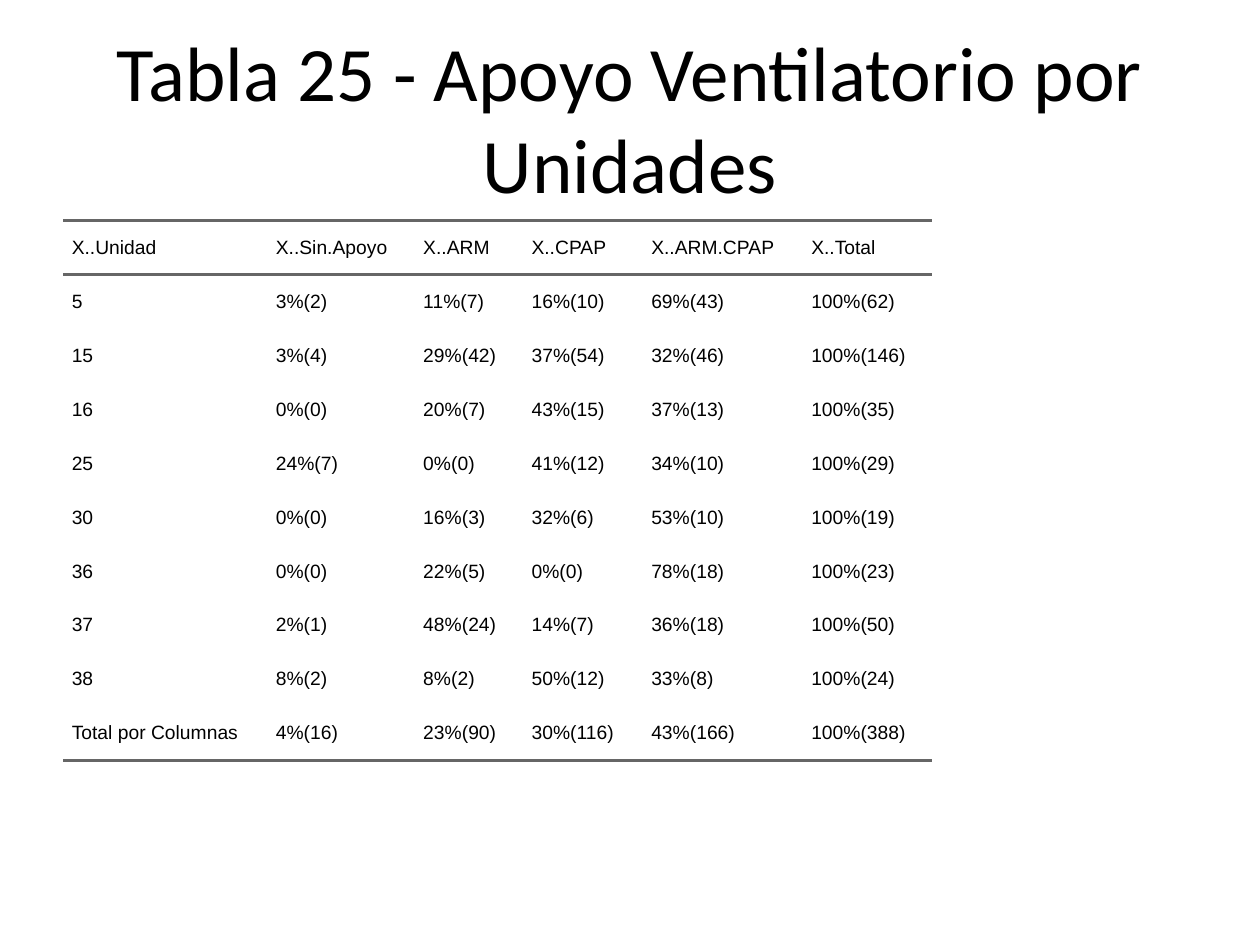
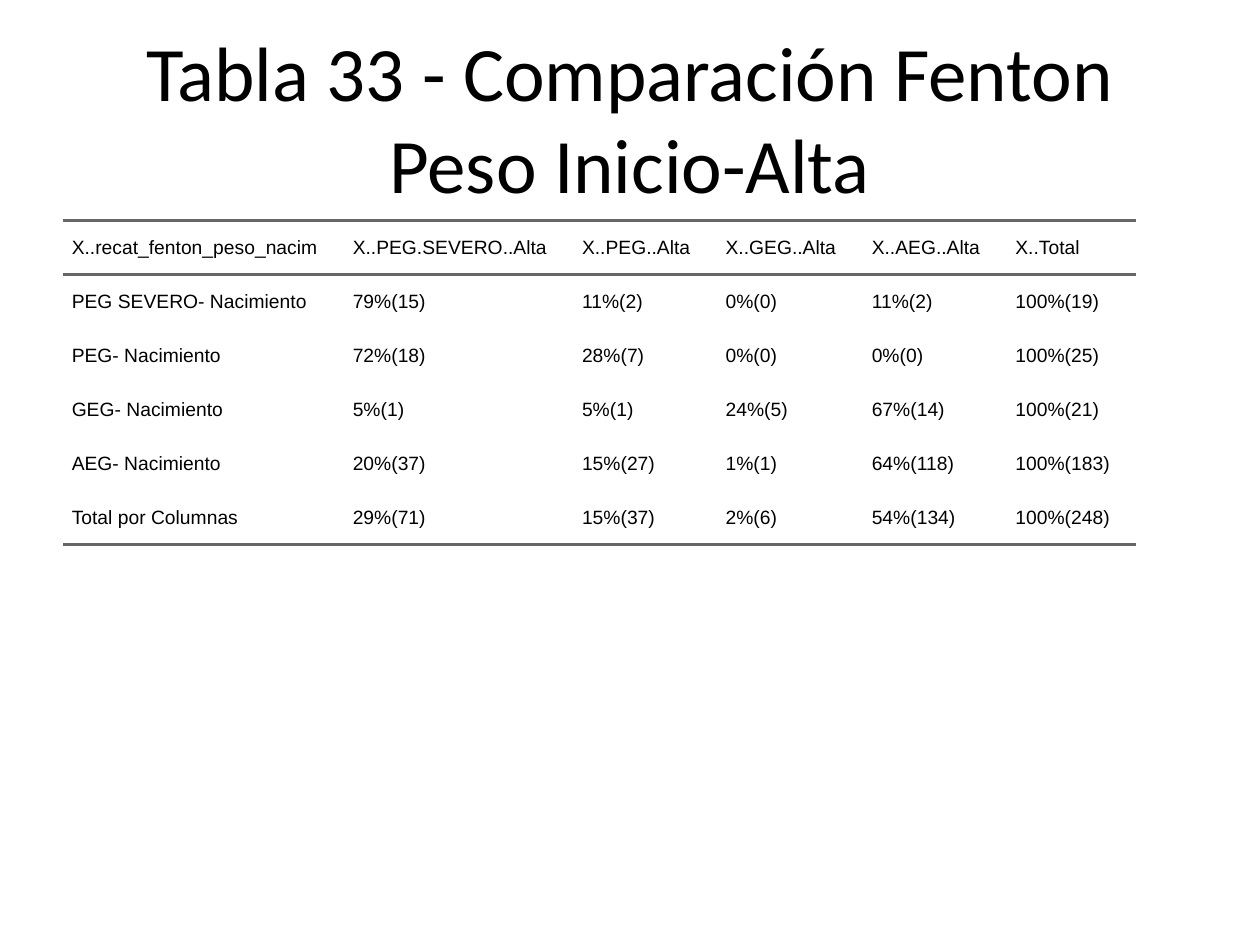
from lxml.etree import SubElement
from pptx import Presentation
from pptx.dml.color import RGBColor as RGB
from pptx.enum.text import MSO_ANCHOR as ANCHOR, PP_ALIGN as ALIGN
from pptx.oxml.ns import qn
from pptx.util import Inches, Pt

COLORS = {"text": "000000", "rule": "666666"}
TITLE_FONT, TABLE_FONT = "Calibri", "Arial"
LEFT, TABLE_TOP = 0.5, 1.75
ROW_HEIGHT = 3 / 7
RULE_WIDTH = Pt(2)
PLAIN_TABLE = "{2D5ABB26-0587-4C30-8999-92F81FD0307C}"

# Slide content: title, column widths, header row followed by data rows
VENTILATION = (
    "Tabla 25 - Apoyo Ventilatorio por Unidades",
    [1.62, 1.17, 0.86, 0.95, 1.27, 1.03],
    [
        ["X..Unidad", "X..Sin.Apoyo", "X..ARM", "X..CPAP", "X..ARM.CPAP", "X..Total"],
        ["5", "3%(2)", "11%(7)", "16%(10)", "69%(43)", "100%(62)"],
        ["15", "3%(4)", "29%(42)", "37%(54)", "32%(46)", "100%(146)"],
        ["16", "0%(0)", "20%(7)", "43%(15)", "37%(13)", "100%(35)"],
        ["25", "24%(7)", "0%(0)", "41%(12)", "34%(10)", "100%(29)"],
        ["30", "0%(0)", "16%(3)", "32%(6)", "53%(10)", "100%(19)"],
        ["36", "0%(0)", "22%(5)", "0%(0)", "78%(18)", "100%(23)"],
        ["37", "2%(1)", "48%(24)", "14%(7)", "36%(18)", "100%(50)"],
        ["38", "8%(2)", "8%(2)", "50%(12)", "33%(8)", "100%(24)"],
        ["Total por Columnas", "4%(16)", "23%(90)", "30%(116)", "43%(166)", "100%(388)"],
    ],
)
FENTON = (
    "Tabla 33 - Comparación Fenton Peso Inicio-Alta",
    [2.23, 1.82, 1.14, 1.16, 1.14, 1.03],
    [
        ["X..recat_fenton_peso_nacim", "X..PEG.SEVERO..Alta", "X..PEG..Alta",
         "X..GEG..Alta", "X..AEG..Alta", "X..Total"],
        ["PEG SEVERO- Nacimiento", "79%(15)", "11%(2)", "0%(0)", "11%(2)", "100%(19)"],
        ["PEG- Nacimiento", "72%(18)", "28%(7)", "0%(0)", "0%(0)", "100%(25)"],
        ["GEG- Nacimiento", "5%(1)", "5%(1)", "24%(5)", "67%(14)", "100%(21)"],
        ["AEG- Nacimiento", "20%(37)", "15%(27)", "1%(1)", "64%(118)", "100%(183)"],
        ["Total por Columnas", "29%(71)", "15%(37)", "2%(6)", "54%(134)", "100%(248)"],
    ],
)


def format_text(p, font_name, size):
    for r in p.runs:
        r.font.name = font_name
        r.font.size = Pt(size)
        r.font.color.rgb = RGB.from_string(COLORS["text"])


def add_title(s, text):
    sp = s.shapes.add_textbox(Inches(LEFT), Inches(0.3), Inches(9), Inches(1.25))
    tf = sp.text_frame
    tf.word_wrap = True
    tf.vertical_anchor = ANCHOR.MIDDLE
    tf.text = text
    p = tf.paragraphs[0]
    p.alignment = ALIGN.CENTER
    format_text(p, TITLE_FONT, 44)


def add_rule(cell, side):
    """Draw a horizontal rule on a cell side: lnT (top) or lnB (bottom)."""
    ln = SubElement(cell._tc.get_or_add_tcPr(), qn(f"a:{side}"), w=str(RULE_WIDTH))
    fill = SubElement(ln, qn("a:solidFill"))
    SubElement(fill, qn("a:srgbClr"), val=COLORS["rule"])


def fill_cell(cell, text):
    cell.margin_left = Inches(0.07)
    cell.margin_right = cell.margin_top = cell.margin_bottom = 0
    cell.vertical_anchor = ANCHOR.MIDDLE
    cell.text_frame.text = text
    format_text(cell.text_frame.paragraphs[0], TABLE_FONT, 11)


def add_ruled_table(s, widths, rows):
    frame = s.shapes.add_table(
        len(rows), len(widths), Inches(LEFT), Inches(TABLE_TOP),
        Inches(sum(widths)), Inches(ROW_HEIGHT * len(rows)))
    table = frame.table
    table.first_row = table.horz_banding = False
    table._tbl.tblPr.find(qn("a:tableStyleId")).text = PLAIN_TABLE

    for column, width in zip(table.columns, widths):
        column.width = Inches(width)
    for i, values in enumerate(rows):
        table.rows[i].height = Inches(ROW_HEIGHT)
        for j, value in enumerate(values):
            cell = table.cell(i, j)
            fill_cell(cell, value)
            # Rules above and below the header and under the last row
            if i == 0:
                add_rule(cell, "lnT")
            if i in (0, len(rows) - 1):
                add_rule(cell, "lnB")
            cell.fill.background()


def main():
    prs = Presentation()
    prs.slide_width, prs.slide_height = Inches(10), Inches(7.5)
    for title, widths, rows in (VENTILATION, FENTON):
        s = prs.slides.add_slide(prs.slide_layouts[6])
        add_title(s, title)
        add_ruled_table(s, widths, rows)
    prs.save("out.pptx")


if __name__ == "__main__":
    main()
